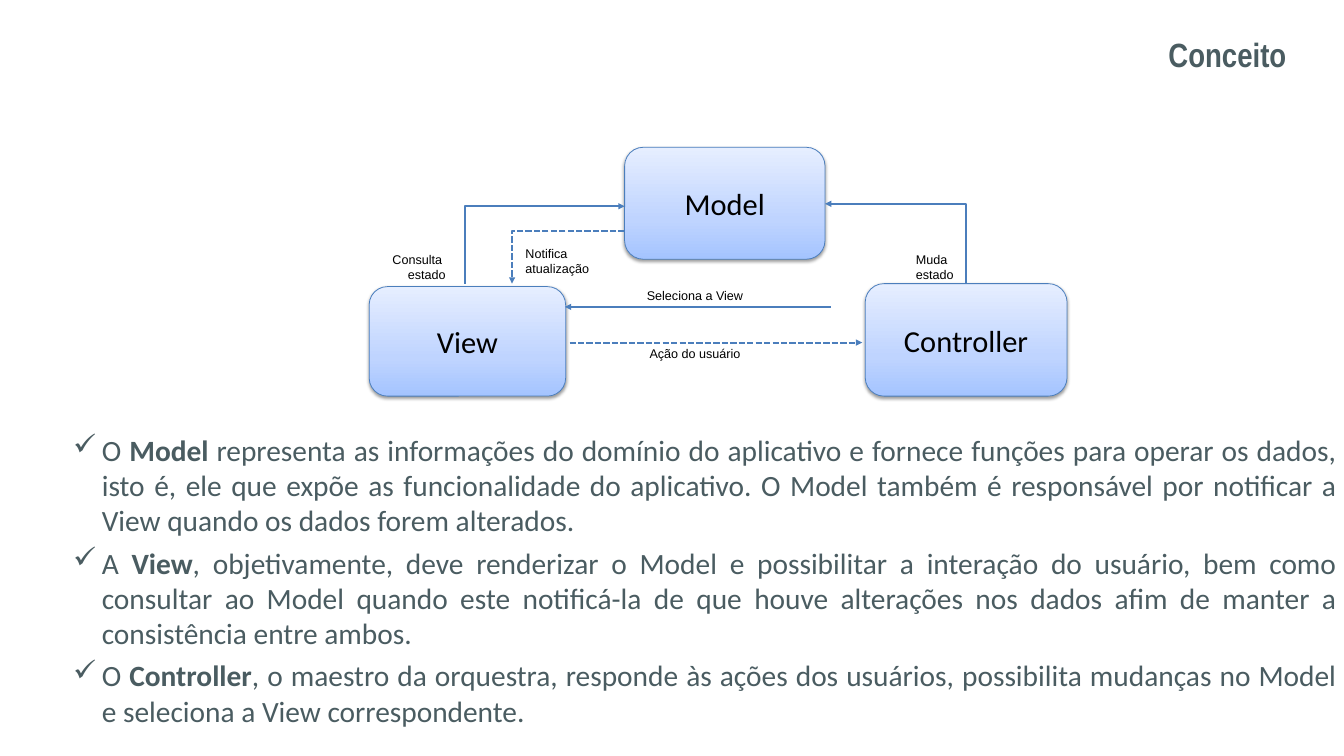
from dataclasses import dataclass

from lxml.etree import SubElement
from pptx import Presentation
from pptx.dml.color import RGBColor
from pptx.enum.dml import MSO_LINE
from pptx.enum.shapes import MSO_CONNECTOR, MSO_SHAPE
from pptx.enum.text import MSO_ANCHOR, PP_ALIGN
from pptx.oxml.ns import qn
from pptx.util import Cm, Pt


@dataclass(frozen=True)
class Theme:
    ink: str = "4A5C61"
    black: str = "000000"
    accent: str = "4B7EBC"
    gradient: tuple = ((0, "A4C4FF"), (35, "BFD4FF"), (100, "E6EEFF"))
    title_font: str = "Arial Narrow"
    body_font: str = "Calibri"
    label_font: str = "Arial"
    title_size: float = 32
    node_size: float = 29
    body_size: float = 28
    label_size: float = 12
    border: float = 0.75
    arrow: float = 2


def add_node(parent, tag, **attributes):
    return SubElement(parent, qn(tag), {key: str(value) for key, value in attributes.items()})


def add_color(parent, color):
    return add_node(parent, "a:srgbClr", val=color)


def write(para, text, *, font, size, color, bold=False, align=PP_ALIGN.LEFT):
    para.alignment = align
    span = para.add_run()
    span.text = text
    span.font.name = font
    span.font.size = Pt(size)
    span.font.bold = bold
    span.font.color.rgb = RGBColor.from_string(color)


class SlideBuilder:
    def __init__(self, page, theme):
        self.page = page
        self.theme = theme

    def text_box(self, left, top, width, height):
        box = self.page.shapes.add_textbox(Cm(left), Cm(top), Cm(width), Cm(height))
        box.text_frame.word_wrap = True
        return box.text_frame

    def paragraphs(self, frame, count):
        """Return the frame's paragraphs, adding those that are missing."""
        while len(frame.paragraphs) < count:
            frame.add_paragraph()
        return frame.paragraphs

    def title(self, text, *place):
        frame = self.text_box(*place)
        frame.vertical_anchor = MSO_ANCHOR.MIDDLE
        write(frame.paragraphs[0], text, font=self.theme.title_font,
              size=self.theme.title_size, color=self.theme.ink,
              bold=True, align=PP_ALIGN.RIGHT)

    def label(self, lines, *place, align=PP_ALIGN.LEFT):
        frame = self.text_box(*place)
        for para, line in zip(self.paragraphs(frame, len(lines)), lines):
            write(para, line, font=self.theme.label_font,
                  size=self.theme.label_size, color=self.theme.black, align=align)

    def component(self, name, left, top, width, height):
        shape = self.page.shapes.add_shape(
            MSO_SHAPE.FLOWCHART_ALTERNATE_PROCESS,
            Cm(left), Cm(top), Cm(width), Cm(height))
        shape.fill.gradient()
        shape.fill.gradient_angle = 90
        stops = next(shape.element.iter(qn("a:gsLst")))
        for stop in list(stops):
            stops.remove(stop)
        for percent, color in self.theme.gradient:
            add_color(add_node(stops, "a:gs", pos=percent * 1000), color)
        shape.line.color.rgb = RGBColor.from_string(self.theme.accent)
        shape.line.width = Pt(self.theme.border)
        self.soft_shadow(shape)
        shape.text_frame.vertical_anchor = MSO_ANCHOR.MIDDLE
        write(shape.text_frame.paragraphs[0], name, font=self.theme.body_font,
              size=self.theme.node_size, color=self.theme.black, align=PP_ALIGN.CENTER)

    def soft_shadow(self, shape):
        shape.shadow.inherit = False
        effects = next(shape.element.iter(qn("a:effectLst")))
        shadow = add_node(effects, "a:outerShdw", blurRad=Pt(3.1), dist=Pt(1.6),
                          dir=90 * 60000, rotWithShape=0)
        add_node(add_color(shadow, self.theme.black), "a:alpha", val=38000)

    def arrow(self, start, end, *, elbow=False, dashed=False, tip="a:tailEnd"):
        """Draw an arrow; an elbow runs sideways first, then turns once."""
        kind = MSO_CONNECTOR.ELBOW if elbow else MSO_CONNECTOR.STRAIGHT
        line = self.page.shapes.add_connector(
            kind, *(Cm(value) for value in (*start, *end)))
        line.line.color.rgb = RGBColor.from_string(self.theme.accent)
        line.line.width = Pt(self.theme.arrow)
        if dashed:
            line.line.dash_style = MSO_LINE.SQUARE_DOT
        if elbow:
            guides = next(line.element.iter(qn("a:avLst")))
            add_node(guides, "a:gd", name="adj1", fmla="val 100000")
        properties = line.element.spPr
        add_node(properties.find(qn("a:ln")), tip, type="triangle")
        add_node(properties, "a:effectLst")

    def check_list(self, items, *place):
        """Write items of (opening, bold term, rest) as ticked paragraphs."""
        frame = self.text_box(*place)
        for para, item in zip(self.paragraphs(frame, len(items)), items):
            para.space_before = Pt(6.7)
            for text, bold in zip(item, (False, True, False)):
                write(para, text, font=self.theme.body_font, size=self.theme.body_size,
                      color=self.theme.ink, bold=bold, align=PP_ALIGN.JUSTIFY)
            properties = para._p.get_or_add_pPr()
            properties.set("marL", str(Cm(0.96)))
            properties.set("indent", str(Cm(-0.96)))
            add_node(properties, "a:buChar", char="✓")


def main():
    deck = Presentation()
    deck.slide_width, deck.slide_height = Cm(45.14), Cm(25.4)
    page = deck.slides.add_slide(deck.slide_layouts[6])
    builder = SlideBuilder(page, Theme())

    builder.title("Conceito", 14.25, 1.04, 29.21, 1.55)

    builder.component("Model", 20.98, 4.95, 6.73, 3.76)
    builder.component("View", 12.4, 9.63, 6.6, 3.68)
    builder.component("Controller", 29.06, 9.53, 6.78, 3.78)

    builder.arrow((19.13, 11.51), (28.96, 11.51), dashed=True)
    builder.arrow((27.91, 10.31), (18.97, 10.31))
    builder.arrow((27.71, 6.85), (32.45, 9.53), elbow=True, tip="a:headEnd")
    builder.arrow((20.98, 6.93), (15.63, 9.53), elbow=True, tip="a:headEnd")
    builder.arrow((20.98, 7.75), (17.2, 9.53), elbow=True, dashed=True)

    builder.label(["Ação do usuário"], 19.18, 11.51, 8.33, 0.76, align=PP_ALIGN.CENTER)
    builder.label(["Seleciona a View"], 19.18, 9.55, 8.33, 0.76, align=PP_ALIGN.CENTER)
    builder.label(["Muda", "estado"], 30.51, 8.33, 5.16, 1.3)
    builder.label(["Consulta ", "estado"], 12.45, 8.33, 2.77, 1.3, align=PP_ALIGN.RIGHT)
    builder.label(["Notifica", "atualização"], 17.4, 8.13, 3.18, 1.3)

    builder.check_list([
        ("O ", "Model",
         " representa as informações do domínio do aplicativo e fornece funções para "
         "operar os dados, isto é, ele que expõe as funcionalidade do aplicativo. O Model "
         "também é responsável por notificar a View quando os dados forem alterados."),
        ("A ", "View",
         ", objetivamente, deve renderizar o Model e possibilitar a interação do usuário, "
         "bem como consultar ao Model quando este notificá-la de que houve alterações nos "
         "dados afim de manter a consistência entre ambos."),
        ("O ", "Controller",
         ", o maestro da orquestra, responde às ações dos usuários, possibilita mudanças "
         "no Model e seleciona a View correspondente."),
    ], 2.21, 14.38, 42.93, 10.31)

    deck.save("out.pptx")


if __name__ == "__main__":
    main()
